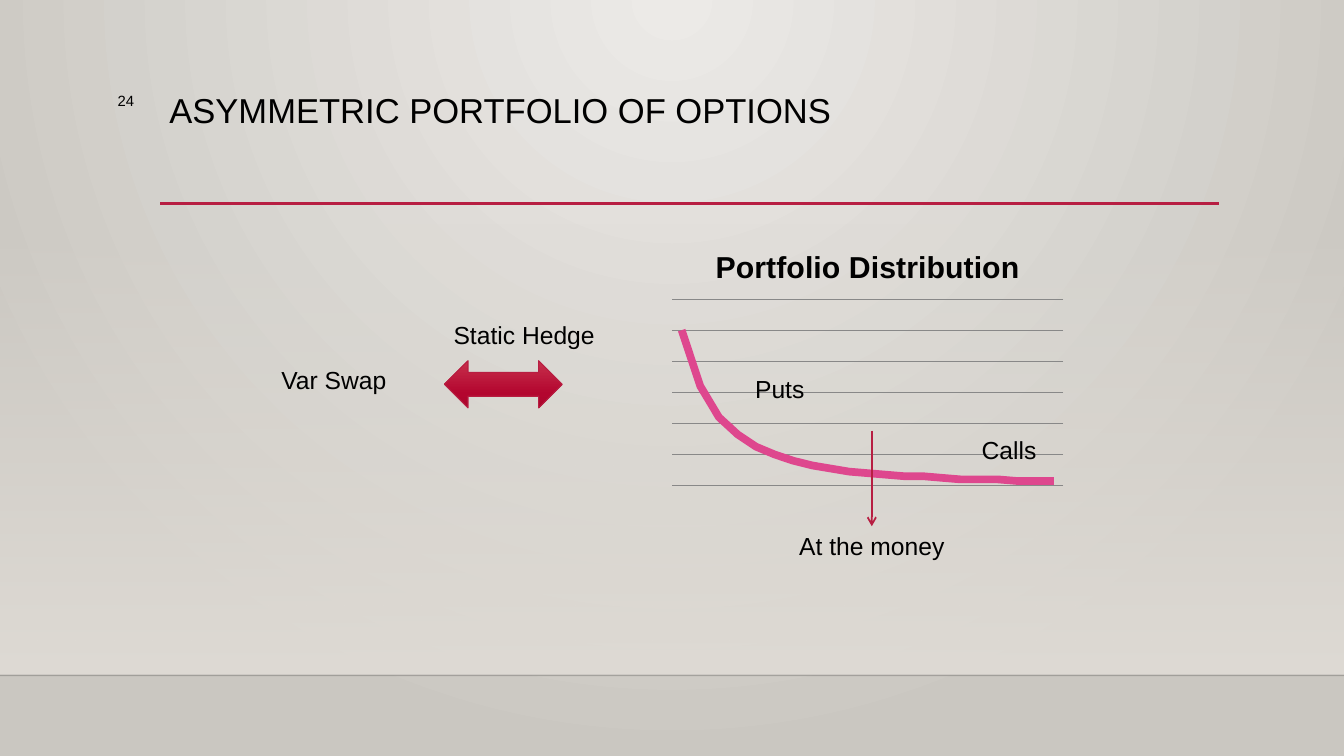
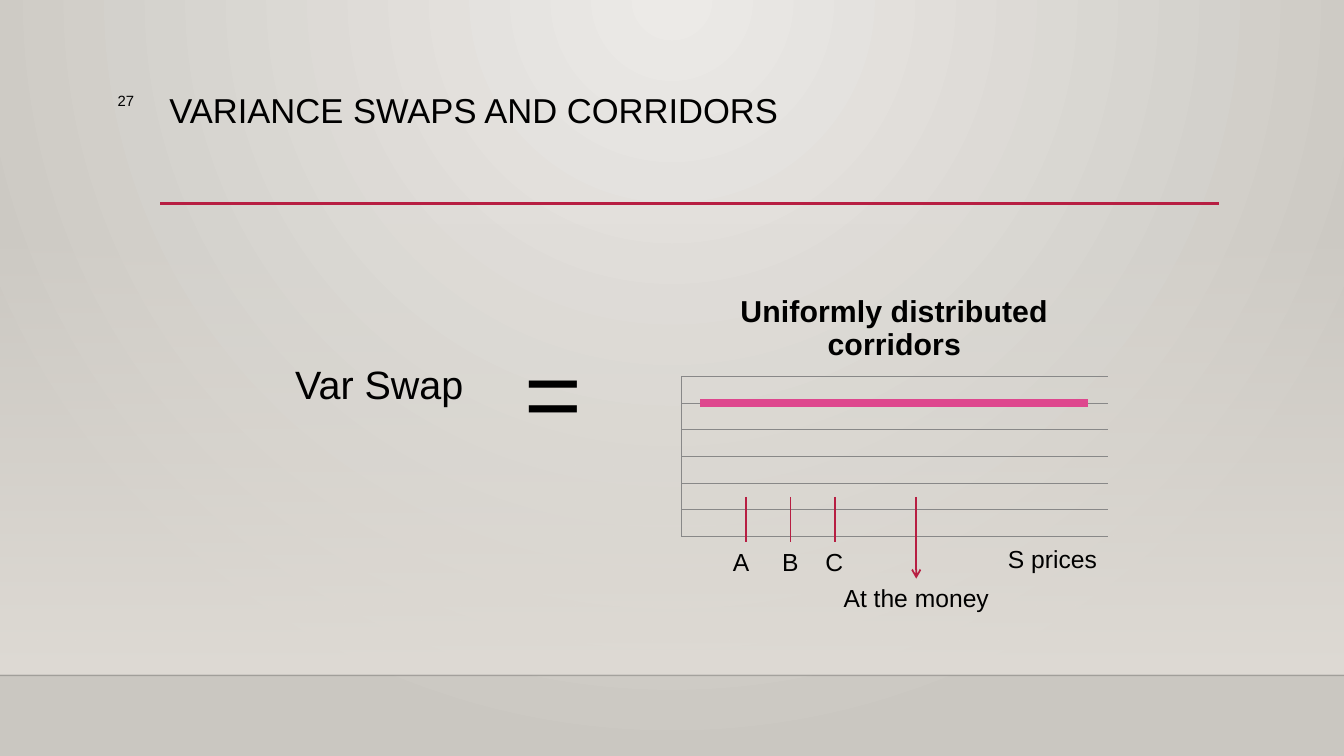
from pptx import Presentation
from pptx.chart.data import CategoryChartData
from pptx.dml.color import RGBColor
from pptx.enum.chart import XL_CHART_TYPE as CHART, XL_MARKER_STYLE as MARKER
from pptx.enum.chart import XL_TICK_LABEL_POSITION as LABELS, XL_TICK_MARK as TICK
from pptx.enum.shapes import MSO_CONNECTOR as CONN, MSO_SHAPE as SHAPE
from pptx.enum.text import MSO_AUTO_SIZE as AUTO, PP_ALIGN as ALIGN
from pptx.oxml import parse_xml
from pptx.oxml.ns import nsdecls, qn
from pptx.util import Cm, Pt


def rgb(value):
    return RGBColor.from_string(value)


class Deck:
    """Holds the style and the current slide."""

    FONT = "Arial"
    TEXT, RED, PINK, GREY = "000000", "B71E42", "DE478E", "888888"
    BODY = 17.6
    DOWN = '<a:lin ang="5400000" scaled="0"/>'
    GLOW = ('<a:path path="circle"><a:fillToRect l="43000" t="0" '
            'r="43000" b="100000"/></a:path>')

    def __init__(self):
        self.prs = Presentation()
        self.prs.slide_width, self.prs.slide_height = Cm(33.87), Cm(19.05)

    def slide(self, title, number):
        self.s = self.prs.slides.add_slide(self.prs.slide_layouts[6])
        fill = self.s.background.fill
        self.gradient(fill, self.s.element, [(0, "ECEAE7", 100), (100, "CAC7C1", 100)], self.GLOW)
        self.shape(SHAPE.RECTANGLE, 0, 5.61, 33.87, 11.4,
                   [(0, "DFDBD5", 0), (100, "DFDBD5", 100)])
        floor = self.line(0, 17.02, 33.87, 17.02, 1, "000001")
        clr = floor.line._ln.find(".//" + qn("a:srgbClr"))
        clr.append(parse_xml(f'<a:alpha {nsdecls("a")} val="20000"/>'))
        self.line(4.04, 5.13, 30.73, 5.13, 2.5)
        p = self.text(title, 4.04, 2.24, 26.67, 2.92, 24.7)
        p.line_spacing = 0.9
        p = self.text(number, 1.35, 2.21, 2.26, 1.4, 10.6)
        p.alignment = ALIGN.RIGHT

    def gradient(self, fill, element, stops, direction):
        fill.solid()
        fill.fore_color.rgb = rgb(stops[0][1])
        gs = "".join(
            f'<a:gs pos="{pos * 1000}"><a:srgbClr val="{color}">'
            f'<a:alpha val="{alpha * 1000}"/></a:srgbClr></a:gs>'
            for pos, color, alpha in stops)
        grad = parse_xml(f'<a:gradFill {nsdecls("a")} rotWithShape="1">'
                         f'<a:gsLst>{gs}</a:gsLst>{direction}</a:gradFill>')
        solid = element.find(".//" + qn("a:solidFill"))
        solid.getparent().replace(solid, grad)

    def shape(self, kind, x, y, w, h, stops, outline=None):
        sp = self.s.shapes.add_shape(kind, Cm(x), Cm(y), Cm(w), Cm(h))
        sp.shadow.inherit = False
        self.gradient(sp.fill, sp._element, stops, self.DOWN)
        if outline:
            sp.line.color.rgb = rgb(outline)
            sp.line.width = Pt(0.75)
        else:
            sp.line.fill.background()

    def line(self, x1, y1, x2, y2, width=1.25, color=RED, arrow=False):
        ln = self.s.shapes.add_connector(CONN.STRAIGHT, Cm(x1), Cm(y1), Cm(x2), Cm(y2))
        ln.line.color.rgb = rgb(color)
        ln.line.width = Pt(width)
        if arrow:
            ln.line._ln.append(parse_xml(f'<a:tailEnd {nsdecls("a")} type="arrow"/>'))
        ln._element.spPr.append(parse_xml(f'<a:effectLst {nsdecls("a")}/>'))
        return ln

    def text(self, text, x, y, w, h, size, wrap=True):
        tf = self.s.shapes.add_textbox(Cm(x), Cm(y), Cm(w), Cm(h)).text_frame
        tf.word_wrap = wrap
        tf.auto_size = AUTO.NONE if wrap else AUTO.SHAPE_TO_FIT_TEXT
        tf.margin_left = tf.margin_right = Cm(0.23)
        tf.margin_top = tf.margin_bottom = Cm(0.11)
        p = tf.paragraphs[0]
        p.text = text
        self.style(p.font, size)
        return p

    def style(self, font, size):
        font.name, font.size = self.FONT, Pt(size)
        font.color.rgb = rgb(self.TEXT)

    def label(self, text, x, y, w, h=1.02, size=BODY):
        self.text(text, x, y, w, h, size, wrap=False)

    def at_the_money(self, x, top, bottom):
        self.line(x, top, x, bottom, arrow=True)
        self.label("At the money", x - 2.06, bottom, 4.22)

    def chart(self, title, values, x, y, w, h, plot, value_line=False):
        data = CategoryChartData()
        data.categories = [str(i + 1) for i in range(len(values))]
        data.add_series("Series 1", values)
        chart = self.s.shapes.add_chart(CHART.LINE, Cm(x), Cm(y), Cm(w), Cm(h), data).chart
        chart.has_legend = False
        self.style(chart.font, 18)
        chart.has_title = True
        p = chart.chart_title.text_frame.paragraphs[0]
        p.text = title
        self.style(p.font, 21.6)
        p.font.bold = True
        chart.chart_title.include_in_layout = False

        for axis in (chart.category_axis, chart.value_axis):
            axis.tick_label_position = LABELS.NONE
            axis.major_tick_mark = axis.minor_tick_mark = TICK.NONE
            self.thin(axis.format.line)
        axis.minimum_scale, axis.maximum_scale, axis.major_unit = 0, 120, 20
        axis.has_major_gridlines = True
        self.thin(axis.major_gridlines.format.line)
        if not value_line:
            axis.format.line.fill.background()

        chart.plots[0].vary_by_categories = False
        series = chart.plots[0].series[0]
        series.smooth = False
        series.marker.style = MARKER.NONE
        series.format.line.color.rgb = rgb(self.PINK)
        series.format.line.width = Pt(5.5)
        self.place_plot(chart, plot)

    def thin(self, line):
        line.color.rgb = rgb(self.GREY)
        line.width = Pt(0.75)

    def place_plot(self, chart, plot):
        area = chart._chartSpace.find(".//" + qn("c:plotArea"))
        for old in area.findall(qn("c:layout")):
            area.remove(old)
        sides = "".join(f'<c:{tag} val="{val}"/>' for tag, val in zip("xywh", plot))
        area.insert(0, parse_xml(
            f'<c:layout {nsdecls("c")}><c:manualLayout><c:layoutTarget val="inner"/>'
            f'<c:xMode val="edge"/><c:yMode val="edge"/>{sides}'
            '</c:manualLayout></c:layout>'))


def portfolio(deck):
    deck.slide("ASYMMETRIC PORTFOLIO OF OPTIONS", "24")
    deck.label("Var Swap", 6.86, 9.09, 3.2)
    values = [100, 64, 44, 33, 25, 20, 16, 13, 11, 9, 8, 7, 6, 6, 5, 4, 4, 4, 3, 3, 3]
    deck.chart("Portfolio Distribution", values, 16.74, 5.84, 10.26, 6.53,
               (0.02, 0.26, 0.96, 0.72))
    deck.shape(SHAPE.LEFT_RIGHT_ARROW, 11.2, 9.09, 2.97, 1.19,
               [(0, "C7304C", 100), (69, "B3062F", 100), (100, "AA062C", 100)], deck.RED)
    deck.label("Static Hedge", 11.2, 7.95, 4.11)
    deck.label("Calls", 24.51, 10.85, 1.9)
    deck.label("Puts", 18.8, 9.32, 1.78)
    deck.at_the_money(21.97, 10.85, 13.26)


def corridors(deck):
    deck.slide("VARIANCE SWAPS AND CORRIDORS", "27")
    deck.label("Var Swap", 7.21, 8.97, 4.8, 1.47, 28.2)
    deck.chart("Uniformly distributed corridors", [100] * 11, 16.94, 6.93, 11.2, 6.73,
               (0.02, 0.38, 0.96, 0.6), value_line=True)
    deck.text("=", 13, 8.23, 2.29, 3.28, 70.6)
    deck.at_the_money(23.09, 12.52, 14.58)
    deck.label("S prices", 25.17, 13.59, 2.79)
    for i, (letter, left) in enumerate(zip("ABC", (18.24, 19.48, 20.57))):
        x = 18.8 + 1.12 * i
        deck.line(x, 12.52, x, 13.67)
        deck.label(letter, left, 13.67, 0.94)


def main():
    deck = Deck()
    portfolio(deck)
    corridors(deck)
    deck.prs.save("out.pptx")


if __name__ == "__main__":
    main()
